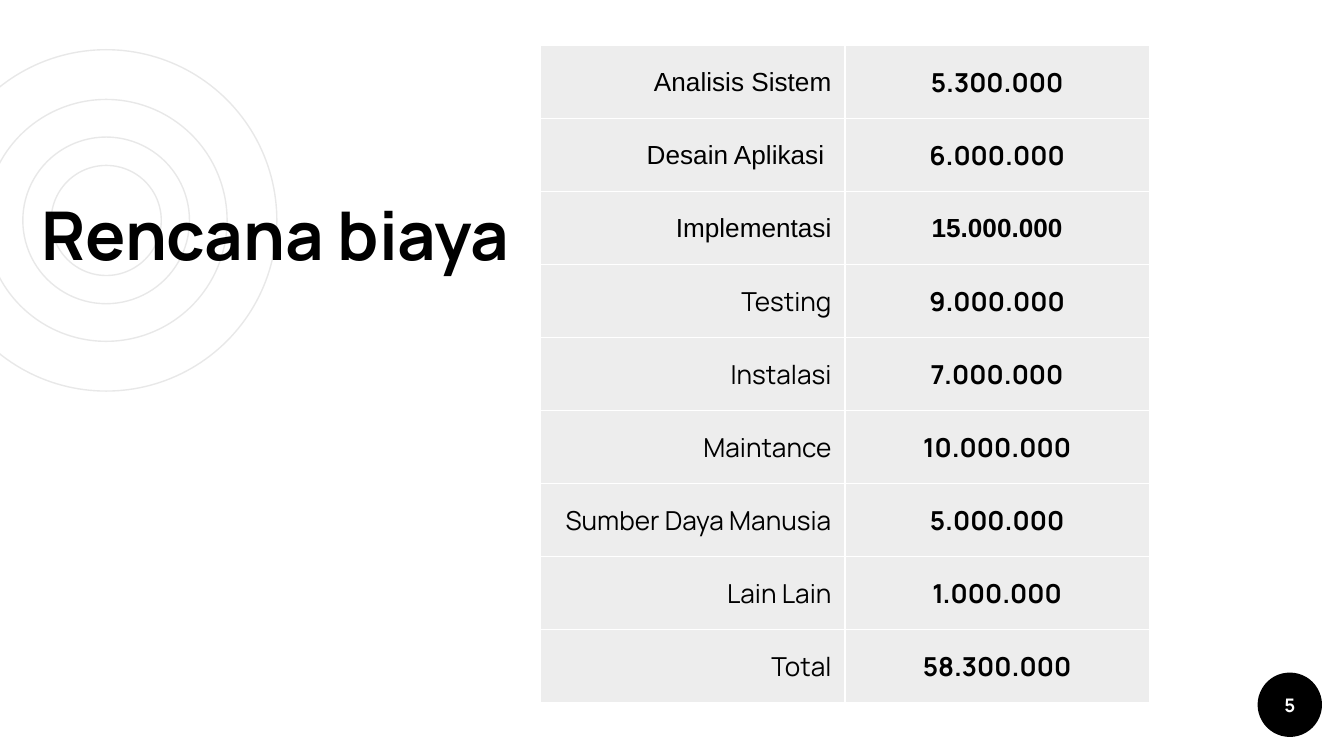
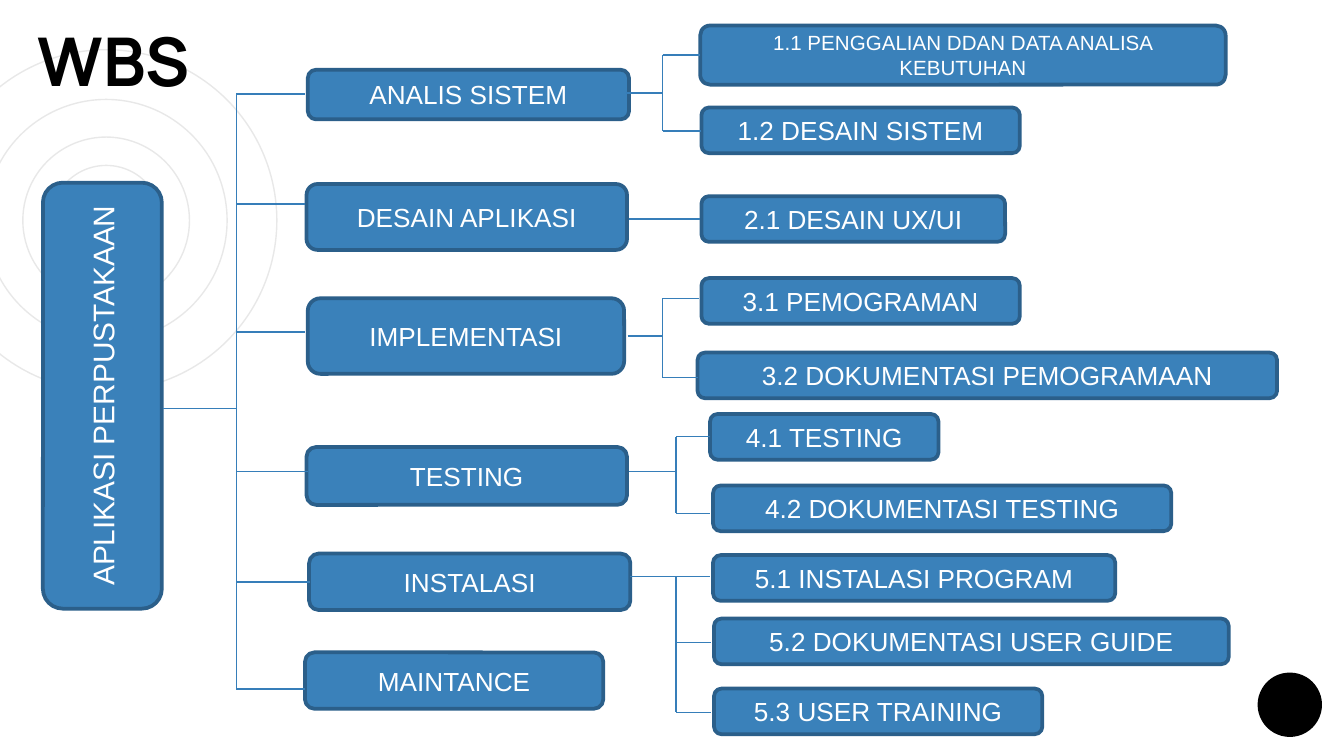
from dataclasses import dataclass

from lxml.etree import SubElement
from pptx import Presentation
from pptx.dml.color import RGBColor
from pptx.enum.shapes import MSO_CONNECTOR, MSO_SHAPE
from pptx.enum.text import MSO_ANCHOR, PP_ALIGN
from pptx.oxml import parse_xml
from pptx.oxml.ns import nsdecls, qn
from pptx.shapes.autoshape import Shape
from pptx.slide import Slide
from pptx.text.text import TextFrame
from pptx.util import Pt

COLORS = {
    "black": "000000",
    "white": "FFFFFF",
    "ring": "E8E8E8",
    "box": "3A81BA",
    "box_border": "2B5F8A",
    "branch_line": "367EB9",
}
HEADING_FONT = "Manrope"
BODY_FONT = "Arial"
RING_CENTER = (56.9, 118.1)
RING_DIAMETERS = (182.9, 129.6, 89.3, 59)
LEAF_HEIGHT = 24.5
CELL_OPACITY = 7000


@dataclass(frozen=True)
class Cost:
    label: str
    amount: str
    label_font: str = HEADING_FONT
    amount_font: str = HEADING_FONT


@dataclass(frozen=True)
class Box:
    text: str
    left: float
    top: float
    width: float
    height: float = LEAF_HEIGHT
    size: float = 14
    vertical: bool = False


@dataclass(frozen=True)
class Bracket:
    spine: float
    feed_left: float
    feed_y: float
    arms: tuple[tuple[float, float], ...]


COSTS = (
    Cost("Analisis Sistem", "5.300.000", BODY_FONT),
    Cost("Desain Aplikasi ", "6.000.000", BODY_FONT),
    Cost("Implementasi", "15.000.000", BODY_FONT, BODY_FONT),
    Cost("Testing", "9.000.000"),
    Cost("Instalasi", "7.000.000"),
    Cost("Maintance", "10.000.000"),
    Cost("Sumber Daya Manusia", "5.000.000"),
    Cost("Lain Lain", "1.000.000"),
    Cost("Total", "58.300.000"),
)

BOXES = (
    Box("APLIKASI PERPUSTAKAAN", 23, 97.9, 63.7, 228.2, 16, True),
    Box("ANALIS SISTEM", 164.9, 37.4, 172.1, 26.6),
    Box("DESAIN APLIKASI", 164.2, 98.6, 171.7, 35.3),
    Box("IMPLEMENTASI", 164.9, 159.8, 169.5, 40.5),
    Box("TESTING", 164.2, 239.5, 171.7, 31),
    Box("INSTALASI", 165.6, 296.6, 172.1, 30.2),
    Box("MAINTANCE", 163.4, 349.5, 159.8, 30.2),
    Box("1.1 PENGGALIAN DDAN DATA ANALISA KEBUTUHAN", 375.1, 13.7, 281.5, 31.7, 11),
    Box("1.2 DESAIN SISTEM", 375.8, 57.6, 170.6),
    Box("2.1 DESAIN UX/UI", 375.8, 105.1, 162.7),
    Box("3.1 PEMOGRAMAN", 375.8, 149, 170.6),
    Box("3.2 DOKUMENTASI PEMOGRAMAAN", 373.7, 188.9, 310.5),
    Box("4.1 TESTING", 380.4, 221.8, 122.4),
    Box("4.2 DOKUMENTASI TESTING", 382, 260.1, 245.5),
    Box("5.1 INSTALASI PROGRAM", 382, 297.4, 215.5),
    Box("5.2 DOKUMENTASI USER GUIDE", 382.5, 331.4, 275.8),
    Box("5.3 USER TRAINING", 382.5, 368.9, 175.9),
)

BRACKETS = (
    Bracket(126.7, 87.1, 218.9, (
        (163.4, 50.4), (163.4, 109.4), (163.4, 177.8),
        (164.9, 252.7), (166.3, 311.8), (163.4, 369.2),
    )),
    Bracket(355, 335.5, 49.9, ((375.1, 29.5), (375.8, 70.2))),
    Bracket(355, 336.2, 180, ((374.4, 159.8), (373.7, 202.3))),
    Bracket(362.2, 337, 252.7, ((380.2, 234), (380.2, 275))),
    Bracket(362.2, 337.7, 308.9, ((380.2, 308.9), (380.9, 344.2), (380.9, 381.6))),
)


def rgb(name: str) -> RGBColor:
    return RGBColor.from_string(COLORS[name])


def write_text(
    text_frame: TextFrame,
    text: str,
    size: float,
    font_name: str,
    color: str,
    bold: bool = False,
    alignment: PP_ALIGN = PP_ALIGN.CENTER,
) -> None:
    text_frame.text = text
    paragraph = text_frame.paragraphs[0]
    paragraph.alignment = alignment
    for run in paragraph.runs:
        run.font.size = Pt(size)
        run.font.name = font_name
        run.font.bold = bold
        run.font.color.rgb = rgb(color)


def add_preset(
    slide: Slide,
    preset: MSO_SHAPE,
    bounds: tuple[float, float, float, float],
    fill: str | None = None,
    line: str | None = None,
    line_width: float = 0.75,
) -> Shape:
    shape = slide.shapes.add_shape(preset, *map(Pt, bounds))
    shape.shadow.inherit = False
    if fill:
        shape.fill.solid()
        shape.fill.fore_color.rgb = rgb(fill)
    else:
        shape.fill.background()
    if line:
        shape.line.color.rgb = rgb(line)
        shape.line.width = Pt(line_width)
    else:
        shape.line.fill.background()
    return shape


def add_frame(slide: Slide, title: str, left: float, top: float, number: str = "") -> None:
    center_x, center_y = RING_CENTER
    for diameter in RING_DIAMETERS:
        bounds = (center_x - diameter / 2, center_y - diameter / 2, diameter, diameter)
        add_preset(slide, MSO_SHAPE.OVAL, bounds, line="ring")

    badge = add_preset(slide, MSO_SHAPE.OVAL, (673.7, 360.3, 34.5, 34.5), fill="black")
    if number:
        text_frame = badge.text_frame
        text_frame.margin_left = text_frame.margin_right = Pt(0)
        text_frame.vertical_anchor = MSO_ANCHOR.MIDDLE
        write_text(text_frame, number, 10, HEADING_FONT, "white", bold=True)

    text_box = slide.shapes.add_textbox(Pt(left), Pt(top), Pt(409), Pt(54))
    text_frame = text_box.text_frame
    text_frame.word_wrap = True
    text_frame.vertical_anchor = MSO_ANCHOR.BOTTOM
    text_frame.margin_top = text_frame.margin_bottom = Pt(7.2)
    write_text(text_frame, title, 36, HEADING_FONT, "black", True, PP_ALIGN.LEFT)


def style_cell(cell) -> None:
    cell.vertical_anchor = MSO_ANCHOR.MIDDLE
    cell.margin_left = cell.margin_right = Pt(7.2)
    cell.margin_top = cell.margin_bottom = Pt(5)
    cell.fill.solid()
    cell.fill.fore_color.rgb = rgb("black")
    properties = cell._tc.get_or_add_tcPr()
    color = properties.find(f"{qn('a:solidFill')}/{qn('a:srgbClr')}")
    SubElement(color, qn("a:alpha"), val=str(CELL_OPACITY))
    for index, side in enumerate(("lnL", "lnR", "lnT", "lnB")):
        border = parse_xml(
            f'<a:{side} {nsdecls("a")} w="{Pt(0.75)}"><a:solidFill>'
            f'<a:srgbClr val="{COLORS["white"]}"/></a:solidFill></a:{side}>'
        )
        properties.insert(index, border)


def add_cost_table(slide: Slide) -> None:
    graphic_frame = slide.shapes.add_table(
        len(COSTS), 2, Pt(289.7), Pt(24.5), Pt(326), Pt(352.1)
    )
    table = graphic_frame.table
    table.first_row = False
    table.horz_banding = False
    for row, cost in enumerate(COSTS):
        label, amount = table.cell(row, 0), table.cell(row, 1)
        style_cell(label)
        style_cell(amount)
        write_text(
            label.text_frame, cost.label, 14, cost.label_font, "black",
            alignment=PP_ALIGN.RIGHT,
        )
        write_text(amount.text_frame, cost.amount, 14, cost.amount_font, "black", bold=True)


def add_box(slide: Slide, box: Box) -> None:
    bounds = (box.left, box.top, box.width, box.height)
    shape = add_preset(slide, MSO_SHAPE.ROUNDED_RECTANGLE, bounds, "box", "box_border", 2)
    text_frame = shape.text_frame
    text_frame.word_wrap = True
    text_frame.vertical_anchor = MSO_ANCHOR.MIDDLE
    if box.vertical:
        text_frame._txBody.bodyPr.set("vert", "vert270")
    write_text(text_frame, box.text, box.size, BODY_FONT, "white")


def add_line(slide: Slide, x1: float, y1: float, x2: float, y2: float) -> None:
    connector = slide.shapes.add_connector(
        MSO_CONNECTOR.STRAIGHT, Pt(x1), Pt(y1), Pt(x2), Pt(y2)
    )
    connector.line.color.rgb = rgb("branch_line")
    connector.line.width = Pt(0.75)
    SubElement(connector._element.spPr, qn("a:effectLst"))


def add_bracket(slide: Slide, bracket: Bracket) -> None:
    heights = [y for _, y in bracket.arms]
    add_line(slide, bracket.spine, min(heights), bracket.spine, max(heights))
    add_line(slide, bracket.feed_left, bracket.feed_y, bracket.spine, bracket.feed_y)
    for right, y in bracket.arms:
        add_line(slide, bracket.spine, y, right, y)


def main() -> None:
    presentation = Presentation()
    presentation.slide_width = Pt(720)
    presentation.slide_height = Pt(405)
    blank_layout = presentation.slide_layouts[6]

    cost_slide = presentation.slides.add_slide(blank_layout)
    add_frame(cost_slide, "Rencana biaya", 15.1, 100, "5")
    add_cost_table(cost_slide)

    breakdown_slide = presentation.slides.add_slide(blank_layout)
    add_frame(breakdown_slide, "WBS", 13, 6.5)
    for box in BOXES:
        add_box(breakdown_slide, box)
    for bracket in BRACKETS:
        add_bracket(breakdown_slide, bracket)
    add_line(breakdown_slide, 337, 117.4, 375.1, 117.4)

    presentation.save("out.pptx")


if __name__ == "__main__":
    main()
